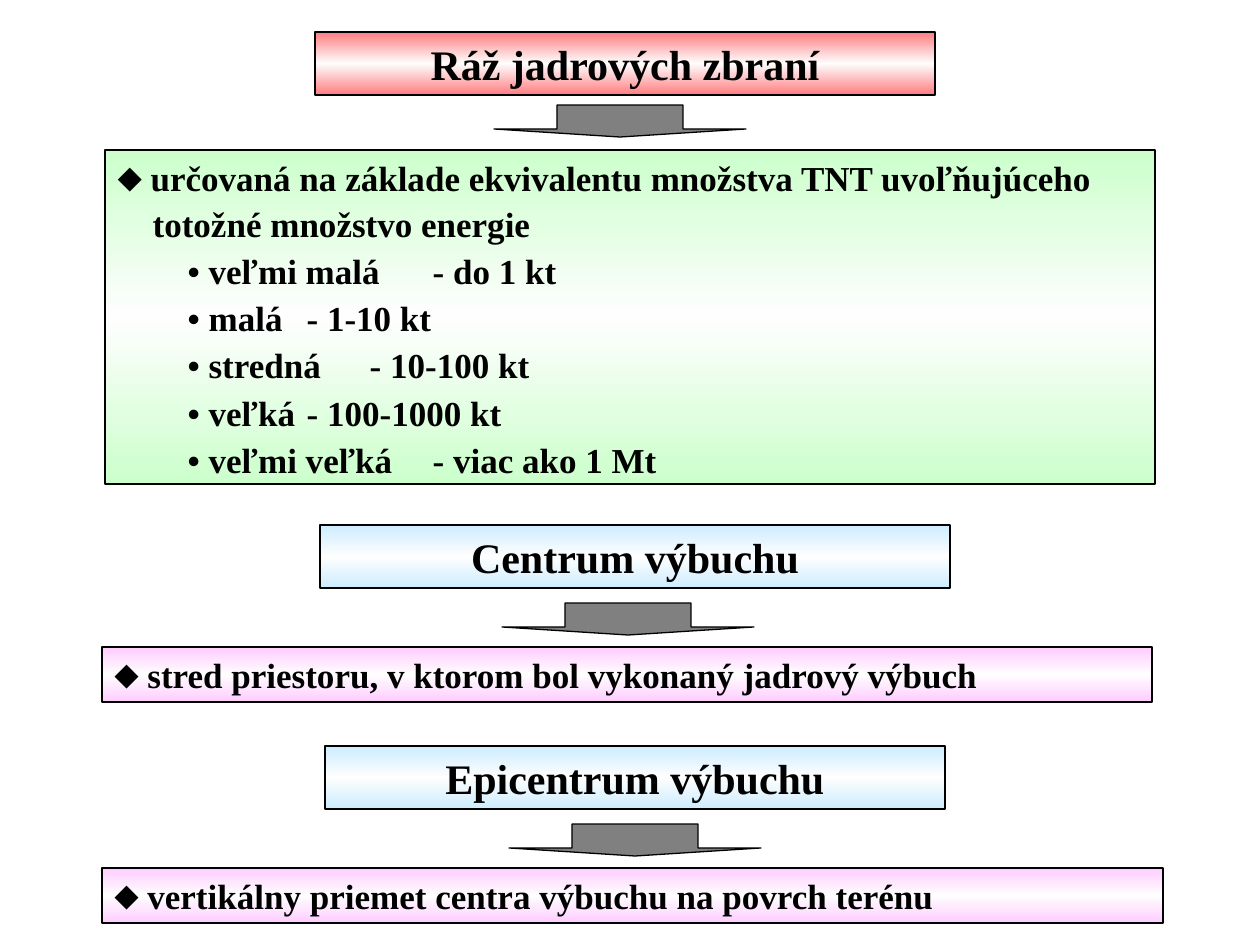
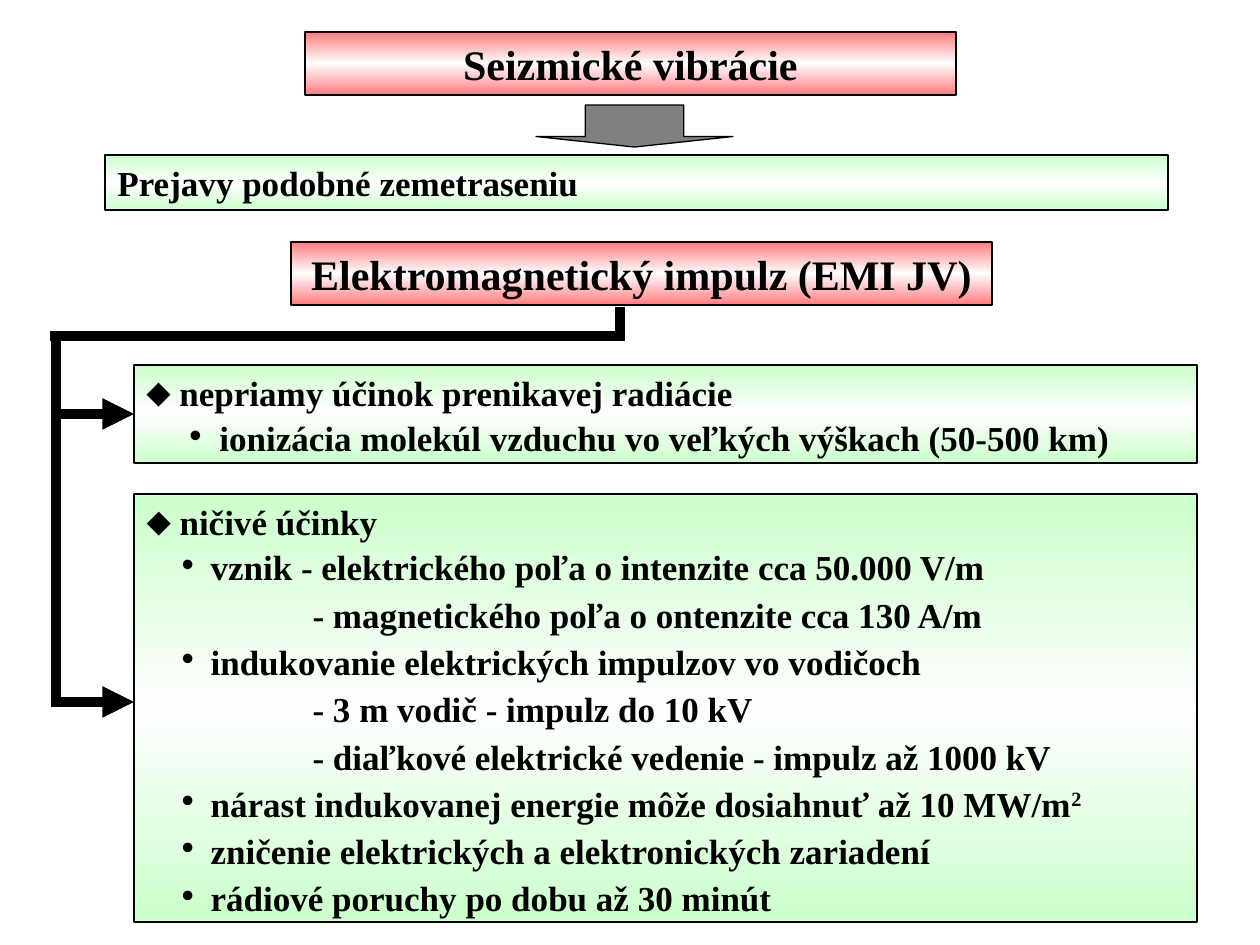
from copy import deepcopy

from lxml import etree
from pptx import Presentation
from pptx import util as u
from pptx.dml.color import RGBColor
from pptx.enum import shapes, text
from pptx.oxml.ns import qn

PX = 914400 / 126
BLACK = RGBColor(0x00, 0x00, 0x00)
WHITE = RGBColor(0xFE, 0xFE, 0xFE)
GREY = RGBColor(0x80, 0x80, 0x80)
RED = RGBColor(0xFF, 0x7C, 0x80)
GREEN = RGBColor(0xCC, 0xFF, 0xCC)
BLUE = RGBColor(0xCC, 0xEC, 0xFF)
PINK = RGBColor(0xFF, 0xCC, 0xFF)
FONT = "Times New Roman"
BULLET_FONT = "Arial"

PLAIN = dict()
DIAMOND = dict(left=33, indent=-33, bullet="⬥")
CONTINUED = dict(left=35)
YIELD = dict(indent=70, tab=282)
CAUSE = dict(left=73, indent=-30, bullet="•")
EFFECT = dict(left=64, indent=-29, bullet="•")
DETAIL = dict(left=166)


def px(n):
    """Turn pixels into EMU."""
    return u.Emu(round(n * PX))


def outline(sp, width=0.75):
    """Give a shape a black line and no shadow."""
    sp.shadow.inherit = False
    sp.line.color.rgb = BLACK
    sp.line.width = u.Pt(width)


def shade(sp, color):
    """Fill a shape from colour through white and back to colour."""
    sp.fill.gradient()
    stops = sp._element.spPr.find(".//" + qn("a:gsLst"))
    stops.append(deepcopy(stops[-1]))
    sp.fill.gradient_angle = 90
    for stop, rgb, position in zip(sp.fill.gradient_stops, (color, WHITE, color), (0, 0.5, 1)):
        stop.color.rgb = rgb
        stop.position = position


def write(p, content, size=20, align=text.PP_ALIGN.LEFT, left=0, indent=0,
          bullet=None, tab=None, follows=False):
    """Write one paragraph; what stands after ^ is raised."""
    pPr = p._p.get_or_add_pPr()
    pPr.set("marL", str(px(left)))
    pPr.set("indent", str(px(indent)))
    if bullet:
        etree.SubElement(pPr, qn("a:buFont"), typeface=BULLET_FONT)
        etree.SubElement(pPr, qn("a:buChar"), char=bullet)
    else:
        etree.SubElement(pPr, qn("a:buNone"))
    if tab:
        tabs = etree.SubElement(pPr, qn("a:tabLst"))
        etree.SubElement(tabs, qn("a:tab"), pos=str(px(tab)), algn="l")
    p.alignment = align
    p.line_spacing = 0.5 if follows else 1.0
    p.space_before = u.Pt(12.5 if follows else 0)
    p.space_after = u.Pt(2.5 if follows else 0)
    base, _, raised = content.partition("^")
    for part, baseline in ((base, None), (raised, "30000")):
        if part:
            r = p.add_run()
            r.text = part
            r.font.name, r.font.size, r.font.bold = FONT, u.Pt(size), True
            r.font.color.rgb = BLACK
            if baseline:
                r.font._element.set("baseline", baseline)


def panel(s, box, color, lines, sp=None, **fmt):
    """Place a shaded box of lines, in a placeholder if one is given."""
    sp = sp or s.shapes.add_shape(shapes.MSO_SHAPE.RECTANGLE, 0, 0, 0, 0)
    sp.left, sp.top, sp.width, sp.height = map(px, box)
    shade(sp, color)
    outline(sp)
    tf = sp.text_frame
    tf.word_wrap = True
    tf.auto_size = text.MSO_AUTO_SIZE.NONE
    tf.vertical_anchor = text.MSO_ANCHOR.TOP
    for i, (content, style) in enumerate(lines):
        p = tf.add_paragraph() if i else tf.paragraphs[0]
        write(p, content, follows=i > 0, **style, **fmt)
    return sp


def heading(s, left, top, width, color, content, sp=None):
    """Place a centred heading band."""
    return panel(s, (left, top, width, 63), color, [(content, PLAIN)], sp,
                 size=24, align=text.PP_ALIGN.CENTER)


def down_arrow(s, left, top, width=252, height=32):
    """Place a flat grey arrow below a heading."""
    sp = s.shapes.add_shape(shapes.MSO_SHAPE.DOWN_ARROW, *map(px, (left, top, width, height)))
    sp.adjustments[0], sp.adjustments[1] = 0.5, 0.25
    sp.fill.solid()
    sp.fill.fore_color.rgb = GREY
    outline(sp)


def thick_line(s, x1, y1, x2, y2, arrow=False):
    """Draw a thick straight connector."""
    cx = s.shapes.add_connector(shapes.MSO_CONNECTOR.STRAIGHT, *map(px, (x1, y1, x2, y2)))
    cx.line.color.rgb = BLACK
    cx.line.width = u.Pt(6)
    if arrow:
        etree.SubElement(cx.line._get_or_add_ln(), qn("a:tailEnd"), type="triangle")
    etree.SubElement(cx._element.spPr, qn("a:effectLst"))
    return cx


def definition(s, top, left, width, arrow_left, box_width, title, meaning):
    """Place a blue term, its arrow and its pink meaning."""
    heading(s, left, top, width, BLUE, title)
    down_arrow(s, arrow_left, top + 78)
    panel(s, (102, top + 122, box_width, 55), PINK, [(meaning, DIAMOND)])


def yield_slide(s):
    """Build the slide on the yield of nuclear weapons."""
    title, body = s.placeholders
    heading(s, 315, 32, 620, RED, "Ráž jadrových zbraní", title)
    down_arrow(s, 494, 105)
    classes = [("veľmi malá", "do 1 kt"), ("malá", "1-10 kt"), ("stredná", "10-100 kt"),
               ("veľká", "100-1000 kt"), ("veľmi veľká", "viac ako 1 Mt")]
    panel(s, (105, 150, 1050, 334), GREEN, [
        ("určovaná na základe ekvivalentu množstva TNT uvoľňujúceho", DIAMOND),
        ("totožné množstvo energie", CONTINUED),
        *((f"• {name}\t- {amount}", YIELD) for name, amount in classes)], body)
    definition(s, 525, 320, 630, 502, 1050, "Centrum výbuchu",
               "stred priestoru, v ktorom bol vykonaný jadrový výbuch")
    definition(s, 746, 325, 620, 509, 1061, "Epicentrum výbuchu",
               "vertikálny priemet centra výbuchu na povrch terénu")


def impulse_lines(s, trunk, bar, target):
    """Branch from the impulse heading to the two panels below."""
    thick_line(s, 620, 307, 620, 339)
    thick_line(s, 625, bar, 50, bar)
    thick_line(s, trunk, bar, trunk, 707)
    cx = thick_line(s, trunk - 3, 414, 134, 414, arrow=True)
    cx.end_connect(target, 1)
    thick_line(s, trunk - 3, 702, 134, 702, arrow=True)


def impulse_slide(s):
    """Build the slide on seismic vibrations and the EM impulse."""
    title, body = s.placeholders
    heading(s, 305, 32, 651, RED, "Seizmické vibrácie", title)
    down_arrow(s, 536, 105, 197, 42)
    panel(s, (105, 155, 1063, 55), GREEN, [("Prejavy podobné zemetraseniu", PLAIN)])
    heading(s, 291, 242, 701, RED, "Elektromagnetický impulz (EMI JV)")
    cause = panel(s, (134, 365, 1063, 98), GREEN, [
        ("nepriamy účinok prenikavej radiácie", DIAMOND),
        ("ionizácia molekúl vzduchu vo veľkých výškach (50-500 km)", CAUSE)])
    panel(s, (134, 494, 1063, 428), GREEN, [
        ("ničivé účinky", DIAMOND),
        ("vznik - elektrického poľa o intenzite cca 50.000 V/m", EFFECT),
        ("- magnetického poľa o ontenzite cca 130 A/m", DETAIL),
        ("indukovanie elektrických impulzov vo vodičoch", EFFECT),
        ("- 3 m vodič - impulz do 10 kV", DETAIL),
        ("- diaľkové elektrické vedenie - impulz až 1000 kV", DETAIL),
        ("nárast indukovanej energie môže dosiahnuť až 10 MW/m^2", EFFECT),
        ("zničenie elektrických a elektronických zariadení", EFFECT),
        ("rádiové poruchy po dobu až 30 minút", EFFECT)], body)
    impulse_lines(s, 56, 336, cause)


def main():
    """Build and save the presentation."""
    prs = Presentation()
    prs.slide_width, prs.slide_height = px(1260), px(945)
    for build in (yield_slide, impulse_slide):
        build(prs.slides.add_slide(prs.slide_layouts[1]))
    prs.save("out.pptx")


if __name__ == "__main__":
    main()
